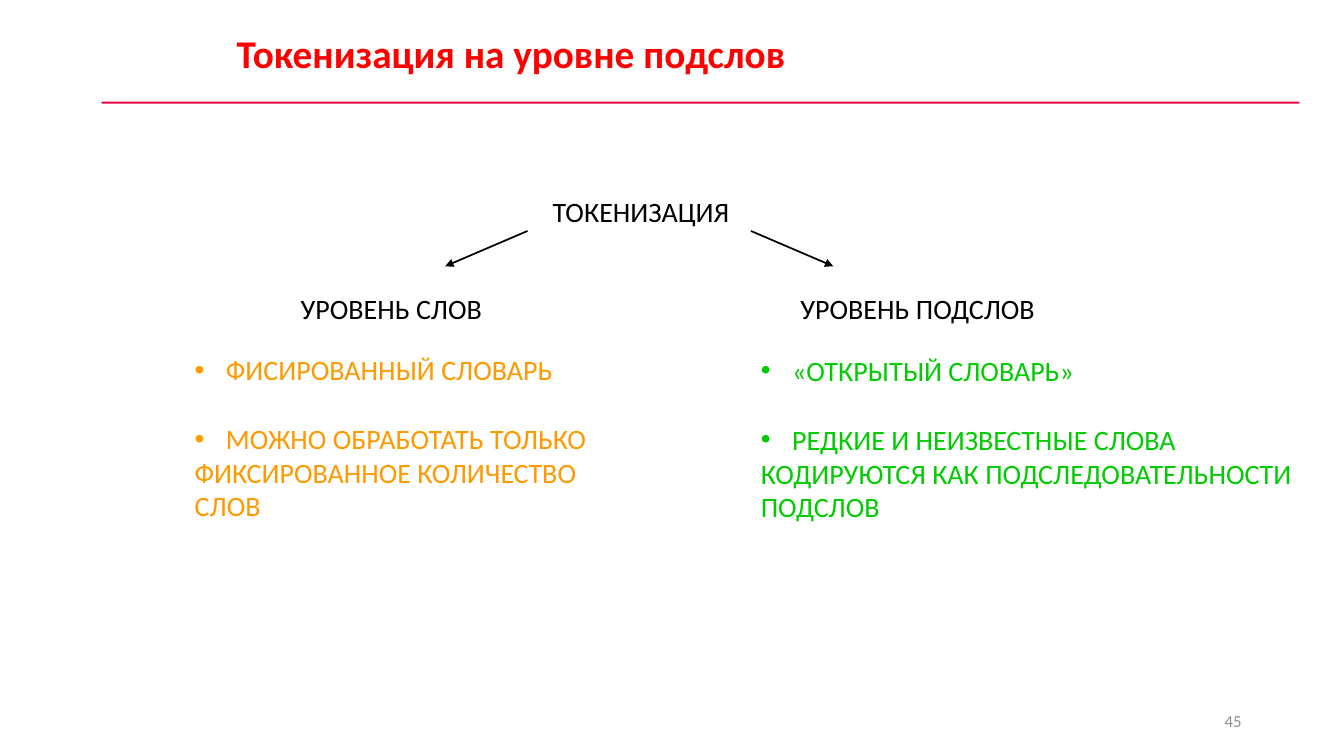
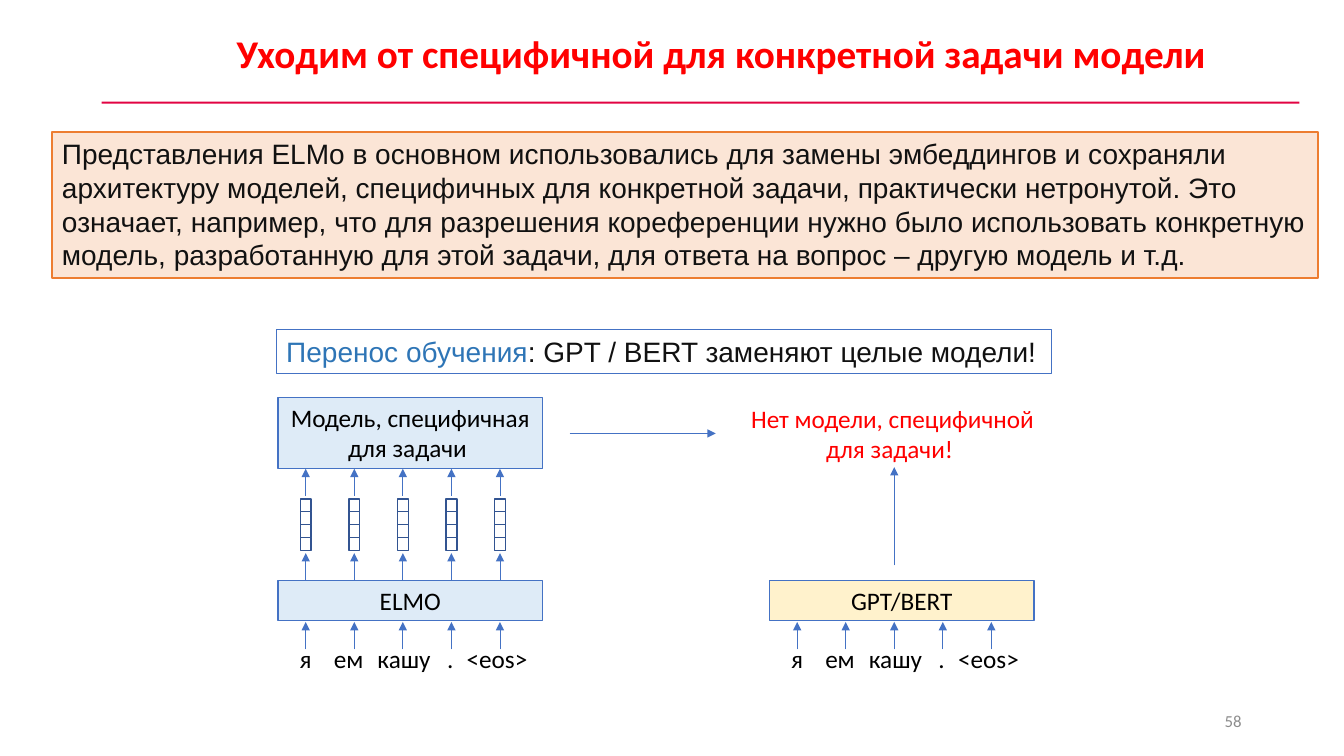
import dataclasses

import pptx
import pptx.dml.color
import pptx.enum.shapes
import pptx.enum.text
import pptx.oxml
import pptx.oxml.ns
import pptx.util

ALIGN = pptx.enum.text.PP_ALIGN
ANCHOR = pptx.enum.text.MSO_ANCHOR
AUTO_SIZE = pptx.enum.text.MSO_AUTO_SIZE
RECTANGLE = pptx.enum.shapes.MSO_SHAPE.RECTANGLE
STRAIGHT = pptx.enum.shapes.MSO_CONNECTOR.STRAIGHT

# The slide is a grid of square cells, 160 columns by 90 rows.
COLUMNS, ROWS = 160, 90
SLIDE_WIDTH = pptx.util.Inches(13.33)
SLIDE_HEIGHT = pptx.util.Inches(7.5)


@dataclasses.dataclass(frozen=True)
class Theme:
    body_font: str = "Calibri"
    callout_font: str = "Arial"
    title_size: int = 28
    large_size: int = 20
    label_size: int = 18
    number_size: int = 12
    title: str = "FF0000"
    rule: str = "E20443"
    number: str = "8C8C8C"
    text: str = "000000"
    callout_text: str = "111111"
    emphasis: str = "2E75B6"
    words: str = "FF9900"
    subwords: str = "00CC00"
    white: str = "FFFFFF"
    peach: str = "FBE5D6"
    orange: str = "ED7D31"
    pale_blue: str = "DEEBF7"
    pale_yellow: str = "FFF2CC"
    blue: str = "4472C4"
    dark_blue: str = "325491"


THEME = Theme()

# Token, width of its label, shift of the label from its arrow
TOKENS = [("я", 3.8, 0), ("ем", 6, -0.6), ("кашу", 8.8, 0.2),
          (".", 3.2, -0.1), ("<eos>", 9.7, -0.3)]
TOKEN_PITCH = 5.78
FIRST_TOKEN = 3.3
MODEL_LEFT, MODEL_WIDTH = 33.1, 31.5
MODEL_SHIFT = 58.5
VECTOR_CELLS, CELL_WIDTH, CELL_HEIGHT = 4, 1.3, 1.53
SHORT_ARROW = 3.25


def rgb(code):
    return pptx.dml.color.RGBColor.from_string(code)


def cells(left, top, *size):
    """Turn grid columns and rows into slide lengths."""
    units = (SLIDE_WIDTH / COLUMNS, SLIDE_HEIGHT / ROWS) * 2
    return [round(n * unit) for n, unit in zip((left, top) + size, units)]


def add_bullet(p):
    p_pr = p._p.get_or_add_pPr()
    indent = pptx.util.Inches(0.31)
    p_pr.set("marL", str(indent))
    p_pr.set("indent", str(-indent))
    namespace = pptx.oxml.ns.nsdecls("a")
    p_pr.append(pptx.oxml.parse_xml(f'<a:buFont {namespace} typeface="Arial"/>'))
    p_pr.append(pptx.oxml.parse_xml(f'<a:buChar {namespace} char="•"/>'))


def write(sp, text, size, color=THEME.text, font=THEME.body_font, bold=False,
          align=ALIGN.LEFT, anchor=ANCHOR.TOP, wrap=True, grow=True, bullet=False):
    """Fill a shape with text, one paragraph a line; a bullet marks the first."""
    tf = sp.text_frame
    tf.text = text
    tf.word_wrap = wrap
    tf.vertical_anchor = anchor
    tf.auto_size = AUTO_SIZE.SHAPE_TO_FIT_TEXT if grow else AUTO_SIZE.NONE
    for i, p in enumerate(tf.paragraphs):
        if bullet and i == 0:
            add_bullet(p)
        p.alignment = align
        p.font.name = font
        p.font.size = pptx.util.Pt(size)
        p.font.bold = bold
        p.font.color.rgb = rgb(color)
    return tf


def add_label(slide, box, text, size, **style):
    return write(slide.shapes.add_textbox(*cells(*box)), text, size, **style)


def add_box(slide, box, fill=None, line=None):
    sp = slide.shapes.add_shape(RECTANGLE, *cells(*box))
    sp.shadow.inherit = False
    if fill:
        sp.fill.solid()
        sp.fill.fore_color.rgb = rgb(fill)
    else:
        sp.fill.background()
    if line:
        sp.line.color.rgb = rgb(line)
        sp.line.width = pptx.util.Pt(1)
    else:
        sp.line.fill.background()
    return sp


def add_arrow(slide, start, end, color=THEME.blue, width=0.5):
    arrow = slide.shapes.add_connector(STRAIGHT, *cells(*start), *cells(*end))
    arrow.line.color.rgb = rgb(color)
    arrow.line.width = pptx.util.Pt(width)
    sp_pr = arrow.element.spPr
    namespace = pptx.oxml.ns.nsdecls("a")
    sp_pr.find(pptx.oxml.ns.qn("a:ln")).append(
        pptx.oxml.parse_xml(f'<a:tailEnd {namespace} type="triangle"/>'))
    sp_pr.append(pptx.oxml.parse_xml(f"<a:effectLst {namespace}/>"))


def add_slide(prs, title, number):
    """Add a blank slide with the shared rule, title and page number."""
    slide = prs.slides.add_slide(prs.slide_layouts[6])
    add_box(slide, (12.1, 12.1, 142.6, 0.25), THEME.rule)
    add_label(slide, (27, 2.9, 128.5, 6.8), title, THEME.title_size,
              color=THEME.title, bold=True)
    add_label(slide, (113, 83.4, 36, 4.8), str(number), THEME.number_size,
              color=THEME.number, align=ALIGN.RIGHT, anchor=ANCHOR.MIDDLE, grow=False)
    return slide


def add_level(slide, heading, heading_left, heading_width, points, left, top, color):
    """Add one tokenization level: a heading and its bulleted points."""
    add_label(slide, (heading_left, 34.1, heading_width, 5.3), heading,
              THEME.large_size, wrap=False)
    for (text, width, height), row in zip(points, (top, top + 8.2)):
        add_label(slide, (left, row, width, height), text, THEME.large_size,
                  color=color, wrap=False, bullet=True)


def token_centers(model_left):
    return [model_left + FIRST_TOKEN + i * TOKEN_PITCH for i in range(len(TOKENS))]


def add_up_arrows(slide, model_left, bottom):
    for x in token_centers(model_left):
        add_arrow(slide, (x, bottom), (x, bottom - SHORT_ARROW))


def add_model(slide, left, name, fill):
    """Add a model box with the input tokens that feed it."""
    write(add_box(slide, (left, 69.1, MODEL_WIDTH, 4.8), fill, THEME.blue), name,
          THEME.label_size, align=ALIGN.CENTER)
    for x, (token, width, shift) in zip(token_centers(left), TOKENS):
        add_label(slide, (x + shift - width / 2, 76, width, 4.8), token,
                  THEME.label_size, wrap=False)
    add_up_arrows(slide, left, 77.3)


def add_vectors(slide, model_left):
    for x in token_centers(model_left):
        for i in range(VECTOR_CELLS):
            add_box(slide, (x - CELL_WIDTH / 2, 59.4 + i * CELL_HEIGHT,
                            CELL_WIDTH, CELL_HEIGHT), line=THEME.dark_blue)


def build_tokenization(prs):
    slide = add_slide(prs, "Токенизация на уровне подслов", 45)
    add_label(slide, (64.6, 22.6, 23.6, 5.3), "ТОКЕНИЗАЦИЯ", THEME.large_size,
              wrap=False)
    add_level(slide, "УРОВЕНЬ СЛОВ", 34.6, 24.2, [
        ("ФИСИРОВАННЫЙ СЛОВАРЬ", 45.5, 5.3),
        ("МОЖНО ОБРАБОТАТЬ ТОЛЬКО\nФИКСИРОВАННОЕ КОЛИЧЕСТВО\nСЛОВ", 49.4, 13.3),
    ], 22, 41.4, THEME.words)
    add_level(slide, "УРОВЕНЬ ПОДСЛОВ", 94.1, 30.6, [
        ("«ОТКРЫТЫЙ СЛОВАРЬ»", 40, 5.3),
        ("РЕДКИЕ И НЕИЗВЕСТНЫЕ СЛОВА\nКОДИРУЮТСЯ КАК ПОДСЛЕДОВАТЕЛЬНОСТИ\nПОДСЛОВ",
         66.1, 13.3),
    ], 89.4, 41.5, THEME.subwords)
    for start, end in ((62.8, 53), (89.4, 99.2)):
        add_arrow(slide, (start, 27.5), (end, 31.7), THEME.text, 1.25)


def build_transfer_learning(prs):
    slide = add_slide(prs, "Уходим от специфичной для конкретной задачи модели", 58)
    write(add_box(slide, (6.2, 15.7, 150.7, 17.4), THEME.peach, THEME.orange),
          "Представления ELMo в основном использовались для замены эмбеддингов и "
          "сохраняли архитектуру моделей, специфичных для конкретной задачи, "
          "практически нетронутой. Это означает, например, что для разрешения "
          "кореференции нужно было использовать конкретную модель, разработанную "
          "для этой задачи, для ответа на вопрос – другую модель и т.д.",
          THEME.large_size, THEME.callout_text, THEME.callout_font)
    tf = write(add_box(slide, (32.9, 39.2, 92.3, 5.3), THEME.white, THEME.blue),
               "Перенос обучения", THEME.large_size, THEME.callout_text,
               THEME.callout_font, wrap=False)
    p = tf.paragraphs[0]
    p.runs[0].font.color.rgb = rgb(THEME.emphasis)
    r = p.add_run()
    r.text = ": GPT / BERT заменяют целые модели!"
    r.font.color.rgb = rgb(THEME.callout_text)

    write(add_box(slide, (MODEL_LEFT, 47.3, MODEL_WIDTH, 8.5), THEME.pale_blue,
                  THEME.blue),
          "Модель, специфичная для задачи ", THEME.label_size, align=ALIGN.CENTER)
    add_vectors(slide, MODEL_LEFT)
    for bottom in (59.05, 69.1):
        add_up_arrows(slide, MODEL_LEFT, bottom)
    add_model(slide, MODEL_LEFT, "ELMO", THEME.pale_blue)

    right_left = MODEL_LEFT + MODEL_SHIFT
    add_model(slide, right_left, "GPT/BERT", THEME.pale_yellow)
    middle = token_centers(right_left)[len(TOKENS) // 2]
    add_arrow(slide, (middle, 67.3), (middle, 55.6))
    add_label(slide, (87.6, 47.4, 37.3, 8.5), "Нет модели, специфичной для задачи! ",
              THEME.label_size, color=THEME.title, align=ALIGN.CENTER)
    add_arrow(slide, (67.8, 51.6), (85.2, 51.6))


def main():
    prs = pptx.Presentation()
    prs.slide_width, prs.slide_height = SLIDE_WIDTH, SLIDE_HEIGHT
    build_tokenization(prs)
    build_transfer_learning(prs)
    prs.save("out.pptx")


if __name__ == "__main__":
    main()
